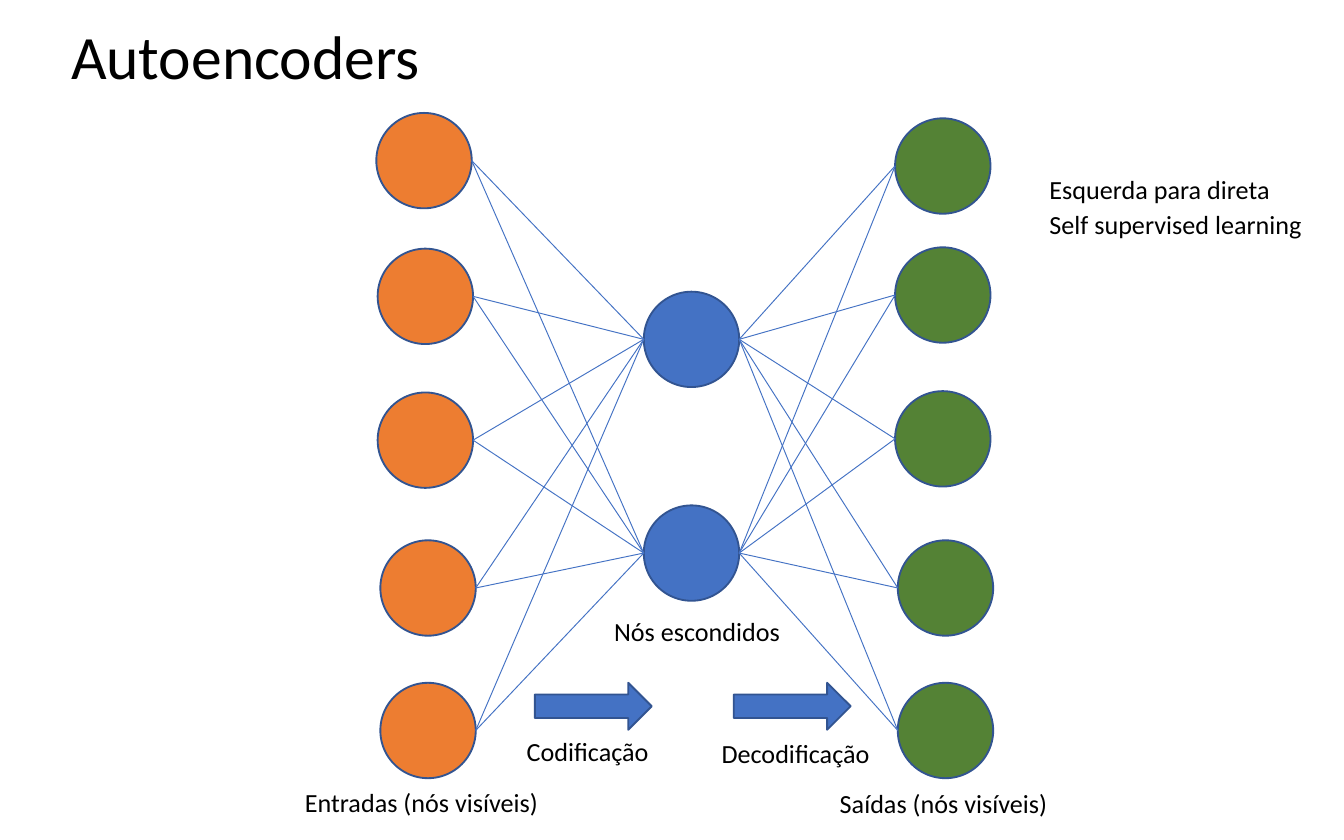
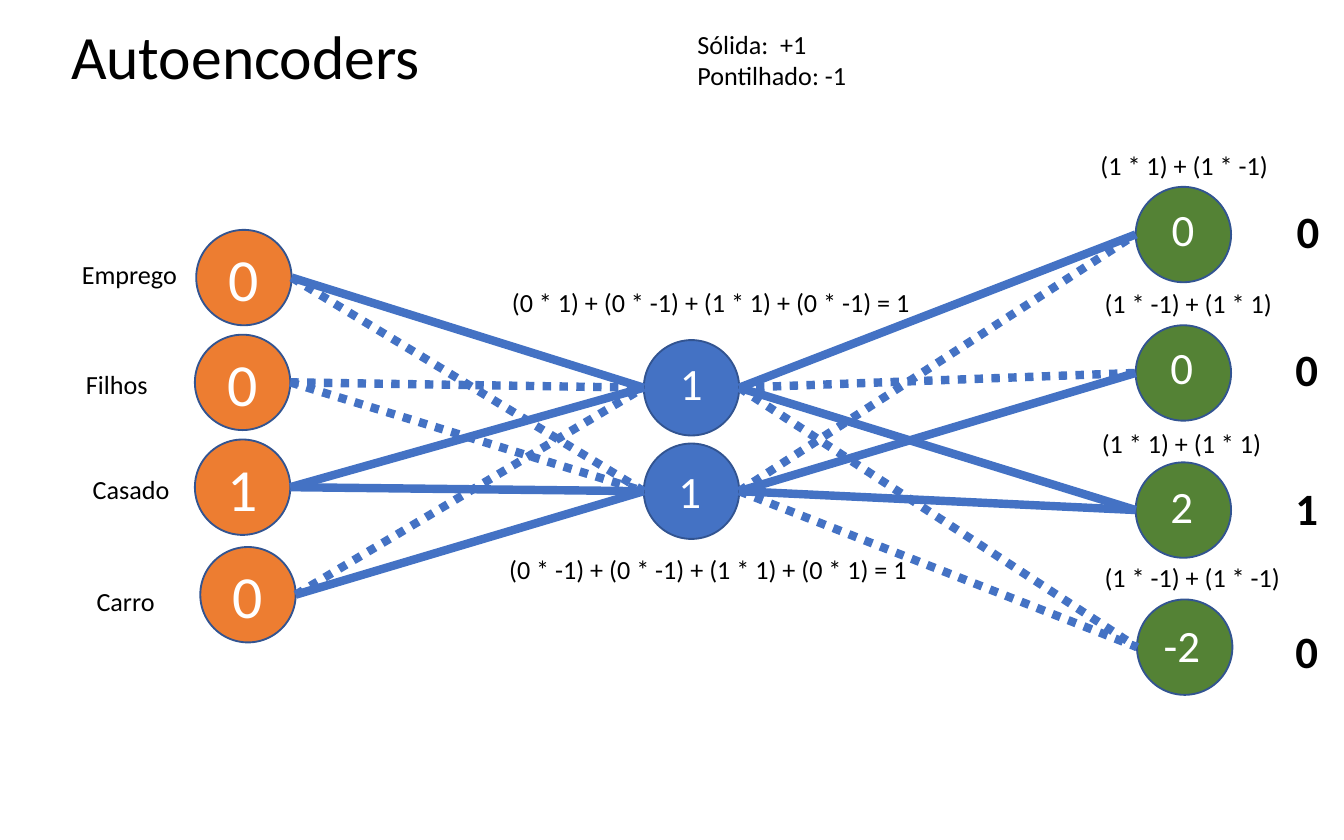
from dataclasses import dataclass

from lxml import etree
from pptx import Presentation
from pptx import util as u
from pptx.dml.color import RGBColor
from pptx.enum import dml, shapes, text
from pptx.oxml import ns


@dataclass(frozen=True)
class Theme:
    font: str = "Calibri"
    black: str = "000000"
    white: str = "FFFFFF"
    blue: str = "4472C4"
    edge: str = "325491"
    orange: str = "ED7D31"
    green: str = "548235"
    title: int = 33
    value: int = 32
    score: int = 24
    label: int = 14
    thin: float = 0.5
    thick: float = 4.5
    node: float = 0.71


T = Theme()


# Shared elements

def style(frame, size, hue, bold=None):
    for para in frame.paragraphs:
        for run in para.runs:
            run.font.name = T.font
            run.font.size = u.Pt(size)
            run.font.color.rgb = RGBColor.from_string(hue)
            run.font.bold = bold


def add_label(slide, words, x, y, w, h=0.34, size=T.label, hue=T.black, bold=None):
    frame = slide.shapes.add_textbox(*map(u.Inches, (x, y, w, h))).text_frame
    frame.text = words
    frame.word_wrap = False
    frame.auto_size = text.MSO_AUTO_SIZE.SHAPE_TO_FIT_TEXT
    style(frame, size, hue, bold)


def add_score(slide, words, x, y, hue, bold=None, w=0.37):
    add_label(slide, words, x, y, w, 0.5, T.score, hue, bold)


def add_title(slide, words):
    box = slide.shapes.add_textbox(*map(u.Inches, (0.43, -0.1, 8.62, 1.09)))
    frame = box.text_frame
    frame.text = words
    frame.word_wrap = True
    frame.vertical_anchor = text.MSO_ANCHOR.MIDDLE
    frame.paragraphs[0].line_spacing = 0.9
    style(frame, T.title, T.black)


def add_solid(slide, kind, x, y, w, h, hue):
    shape = slide.shapes.add_shape(kind, *map(u.Inches, (x, y, w, h)))
    shape.shadow.inherit = False
    shape.fill.solid()
    shape.fill.fore_color.rgb = RGBColor.from_string(hue)
    shape.line.color.rgb = RGBColor.from_string(T.edge)
    shape.line.width = u.Pt(1)
    return shape


def add_node(slide, x, y, hue, value=None):
    node = add_solid(slide, shapes.MSO_SHAPE.OVAL, x, y, T.node, T.node, hue)
    node.rotation = 270
    if value is not None:
        frame = node.text_frame
        frame.text = value
        frame.vertical_anchor = text.MSO_ANCHOR.MIDDLE
        frame.paragraphs[0].alignment = text.PP_ALIGN.CENTER
        # Turned text stands upright in the turned node
        frame._txBody.bodyPr.set("vert", "vert")
        style(frame, T.value, T.white)


def add_link(slide, start, end, width, dotted=False):
    """Join the right side of the start node to the left side of the end node."""
    (x1, y1), (x2, y2) = start, end
    half = T.node / 2
    ends = (x1 + T.node, y1 + half, x2, y2 + half)
    link = slide.shapes.add_connector(
        shapes.MSO_CONNECTOR.STRAIGHT, *map(u.Inches, ends))
    link.line.color.rgb = RGBColor.from_string(T.blue)
    link.line.width = u.Pt(width)
    if dotted:
        link.line.dash_style = dml.MSO_LINE.ROUND_DOT
    etree.SubElement(link._element.spPr, ns.qn("a:effectLst"))


def add_net(slide, inputs, hidden, outputs, width, codes=None, decodes=None, values=None):
    """Draw three layers; a "-" in a row of signs makes that link dotted."""
    plain = ["+" * len(inputs)] * len(hidden)
    for spot in hidden:
        add_node(slide, *spot, T.blue)
    for spot, value in zip(inputs, values or [None] * len(inputs)):
        add_node(slide, *spot, T.orange, value)
    for spot in outputs:
        add_node(slide, *spot, T.green)
    for mid, code, decode in zip(hidden, codes or plain, decodes or plain):
        for spot, sign in zip(inputs, code):
            add_link(slide, spot, mid, width, sign == "-")
        for spot, sign in zip(outputs, decode):
            add_link(slide, mid, spot, width, sign == "-")


# Slides

def add_layers(slide):
    add_title(slide, "Autoencoders")
    add_net(
        slide,
        inputs=[(2.8, 0.84), (2.81, 1.85), (2.81, 2.92), (2.83, 4.02), (2.83, 5.08)],
        hidden=[(4.79, 2.17), (4.79, 3.76)],
        outputs=[(6.66, 0.88), (6.66, 1.84), (6.66, 2.91), (6.68, 4.02), (6.68, 5.08)],
        width=T.thin)
    for x in (3.98, 5.46):
        add_solid(slide, shapes.MSO_SHAPE.RIGHT_ARROW, x, 5.08, 0.87, 0.35, T.blue)
    for words, x, y, w in (
            ("Entradas (nós visíveis)", 2.17, 5.8, 1.96),
            ("Nós escondidos", 4.47, 4.53, 1.45),
            ("Saídas (nós visíveis)", 6.15, 5.81, 1.77),
            ("Codificação", 3.82, 5.42, 1.12),
            ("Decodificação", 5.27, 5.44, 1.31),
            ("Esquerda para direta", 7.71, 1.24, 1.86),
            ("Self supervised learning", 7.71, 1.5, 2.1)):
        add_label(slide, words, x, y, w)


def add_sample(slide):
    add_title(slide, "Autoencoders")
    add_net(
        slide,
        inputs=[(1.46, 1.71), (1.45, 2.49), (1.45, 3.27), (1.49, 4.07)],
        hidden=[(4.79, 2.53), (4.79, 3.3)],
        outputs=[(8.45, 1.39), (8.45, 2.42), (8.45, 3.44), (8.46, 4.46)],
        width=T.thick,
        codes=["+-+-", "--++"],
        decodes=["+-+-", "-++-"],
        values="0010")

    # Names, key and sums
    for words, x, y, w in (
            ("Emprego", 0.51, 1.87, 0.92),
            ("Filhos", 0.54, 2.69, 0.67),
            ("Casado", 0.59, 3.47, 0.78),
            ("Carro", 0.62, 4.31, 0.64),
            ("(0 * 1) + (0 * -1) + (1 * 1) + (0 * -1) = 1", 3.71, 2.08, 3.18),
            ("(0 * -1) + (0 * -1) + (1 * 1) + (0 * 1) = 1", 3.69, 4.07, 3.24),
            ("(1 * 1) + (1 * -1)", 8.09, 1.06, 1.46),
            ("(1 * -1) + (1 * 1)", 8.12, 2.09, 1.46),
            ("(1 * 1) + (1 * 1)", 8.1, 3.13, 1.4),
            ("(1 * -1) + (1 * -1)", 8.12, 4.13, 1.52)):
        add_label(slide, words, x, y, w)
    add_label(slide, "Sólida:  +1\nPontilhado: -1", 5.09, 0.16, 1.32, 0.57)

    # Scores on the nodes, then the final bits
    for words, x, y in (("1", 4.96, 2.6), ("1", 4.95, 3.4), ("0", 8.62, 1.45),
                        ("0", 8.61, 2.48), ("2", 8.61, 3.51)):
        add_score(slide, words, x, y, T.white)
    add_score(slide, "-2", 8.56, 4.55, T.white, w=0.48)
    for bit, x, y in (("0", 9.55, 1.47), ("0", 9.54, 2.49),
                      ("1", 9.54, 3.53), ("0", 9.54, 4.59)):
        add_score(slide, bit, x, y, T.black, True)


def main():
    deck = Presentation()
    deck.slide_width, deck.slide_height = u.Inches(10), u.Inches(6.25)
    blank = deck.slide_layouts[6]
    for build in (add_layers, add_sample):
        build(deck.slides.add_slide(blank))
    deck.save("out.pptx")


if __name__ == "__main__":
    main()
